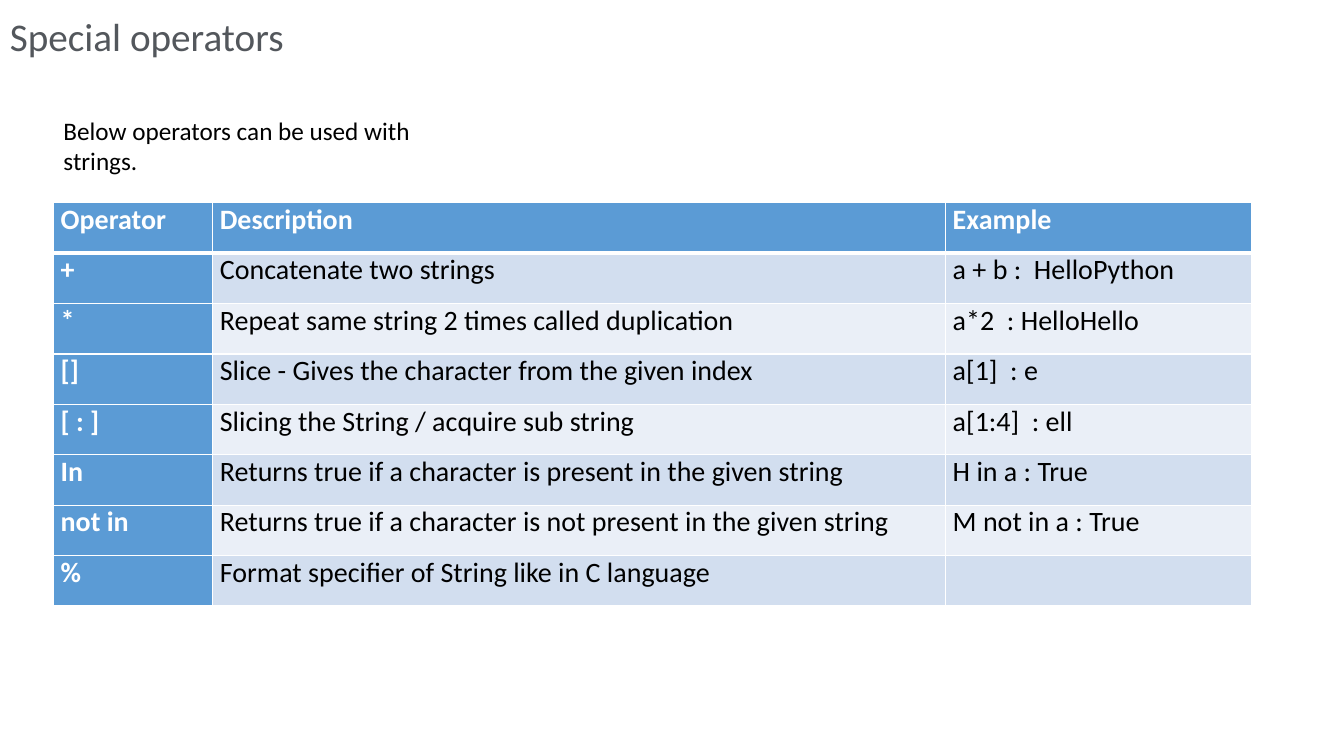
from lxml.etree import SubElement
from pptx import Presentation
from pptx.dml.color import RGBColor
from pptx.enum.text import MSO_AUTO_SIZE
from pptx.oxml.ns import qn
from pptx.util import Cm, Pt

FONT = "Calibri"
WHITE, BLACK, GREY = "FFFFFF", "000000", "53575C"
BLUE, BANDS = "5B9BD5", ("D2DEEF", "EAEFF7")

# text, left, top, width, height (cm), size (pt), colour
TEXTS = [
    ("Special operators", 0, 0.18, 7.42, 1.45, 28, GREY),
    ("Below operators can be used with strings.", 1.35, 2.77, 11.23, 1.02, 18, BLACK),
]
OPERATORS = [
    ("Operator", "Description", "Example"),
    ("+", "Concatenate two strings", "a + b :  HelloPython"),
    ("*", "Repeat same string 2 times called duplication", "a*2  : HelloHello"),
    ("[]", "Slice - Gives the character from the given index", "a[1]  : e"),
    ("[ : ]", "Slicing the String / acquire sub string", "a[1:4]  : ell"),
    ("In", "Returns true if a character is present in the given string", "H in a : True"),
    ("not in", "Returns true if a character is not present in the given string",
     "M not in a : True"),
    ("%", "Format specifier of String like in C language", ""),
]
TABLE_LEFT, TABLE_TOP = 1.35, 5.11
COLUMN_WIDTHS = (4.01, 18.47, 7.7)
ROW_HEIGHT = 1.27


def set_color(color_format, value):
    color_format.rgb = RGBColor.from_string(value)


def add_run(paragraph, text, size, color, bold=False):
    run = paragraph.add_run()
    run.text = text
    run.font.name = FONT
    run.font.size = Pt(size)
    run.font.bold = bold
    set_color(run.font.color, color)


def add_label(slide, text, left, top, width, height, size, color):
    box = slide.shapes.add_textbox(Cm(left), Cm(top), Cm(width), Cm(height))
    box.text_frame.word_wrap = False
    box.text_frame.auto_size = MSO_AUTO_SIZE.SHAPE_TO_FIT_TEXT
    add_run(box.text_frame.paragraphs[0], text, size, color)


def add_borders(cell, top, bottom):
    """Draw white cell borders; top and bottom are widths in points."""
    properties = cell._tc.get_or_add_tcPr()
    for side, width in (("L", 1), ("R", 1), ("T", top), ("B", bottom)):
        line = SubElement(properties, qn(f"a:ln{side}"), w=str(Pt(width)))
        fill = SubElement(line, qn("a:solidFill"))
        SubElement(fill, qn("a:srgbClr"), val=WHITE)


def fill_cell(cell, text, row, column):
    is_heading = row == 0 or column == 0
    cell.margin_left = cell.margin_right = Cm(0.18)
    cell.margin_top = cell.margin_bottom = 0
    add_borders(cell, top=3 if row == 1 else 1, bottom=3 if row == 0 else 1)
    cell.fill.solid()
    set_color(cell.fill.fore_color, BLUE if is_heading else BANDS[(row - 1) % 2])
    if text:
        add_run(cell.text_frame.paragraphs[0], text, 20,
                WHITE if is_heading else BLACK, is_heading)


def add_operator_table(slide):
    frame = slide.shapes.add_table(
        len(OPERATORS), len(COLUMN_WIDTHS), Cm(TABLE_LEFT), Cm(TABLE_TOP),
        Cm(sum(COLUMN_WIDTHS)), Cm(ROW_HEIGHT * len(OPERATORS)))
    table = frame.table
    for column, width in zip(table.columns, COLUMN_WIDTHS):
        column.width = Cm(width)
    for row, texts in enumerate(OPERATORS):
        table.rows[row].height = Cm(ROW_HEIGHT)
        for column, text in enumerate(texts):
            fill_cell(table.cell(row, column), text, row, column)


def main():
    presentation = Presentation()
    presentation.slide_width, presentation.slide_height = Cm(33.87), Cm(19.05)
    slide = presentation.slides.add_slide(presentation.slide_layouts[6])
    add_operator_table(slide)
    for label in TEXTS:
        add_label(slide, *label)
    presentation.save("out.pptx")


if __name__ == "__main__":
    main()
